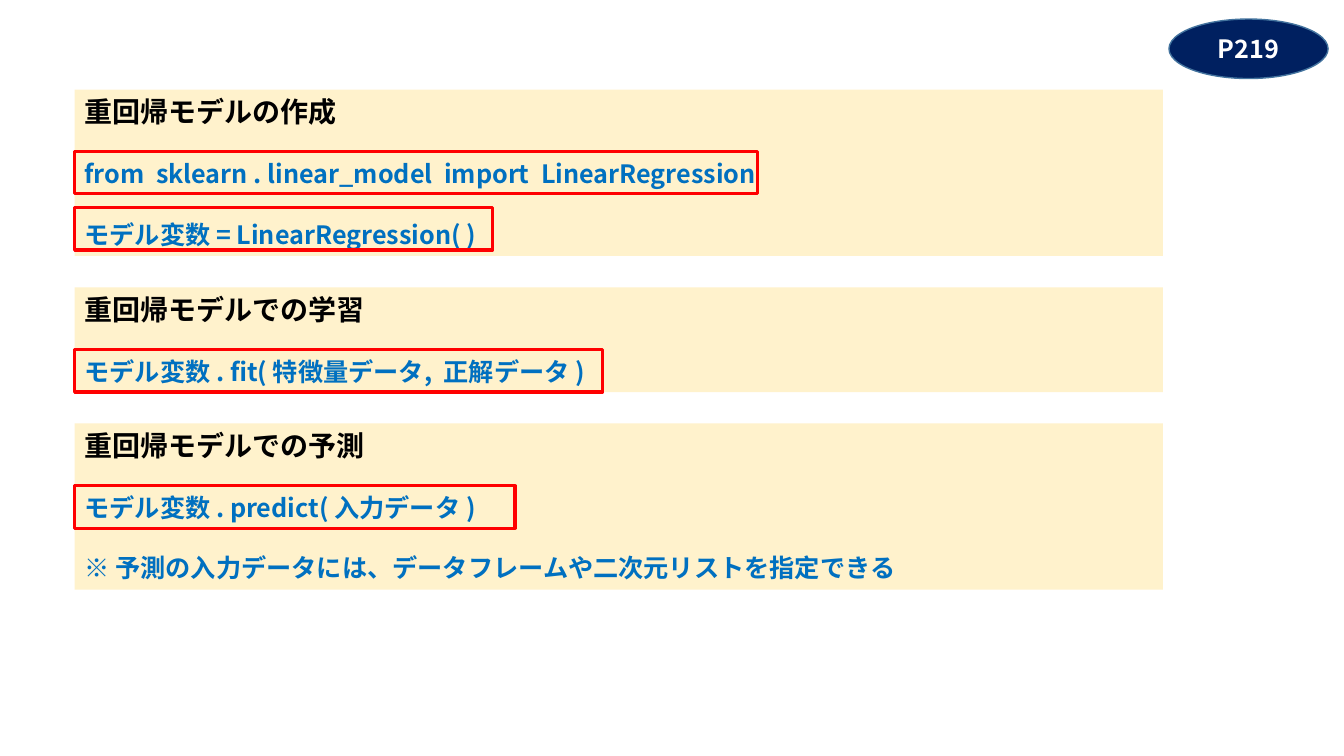
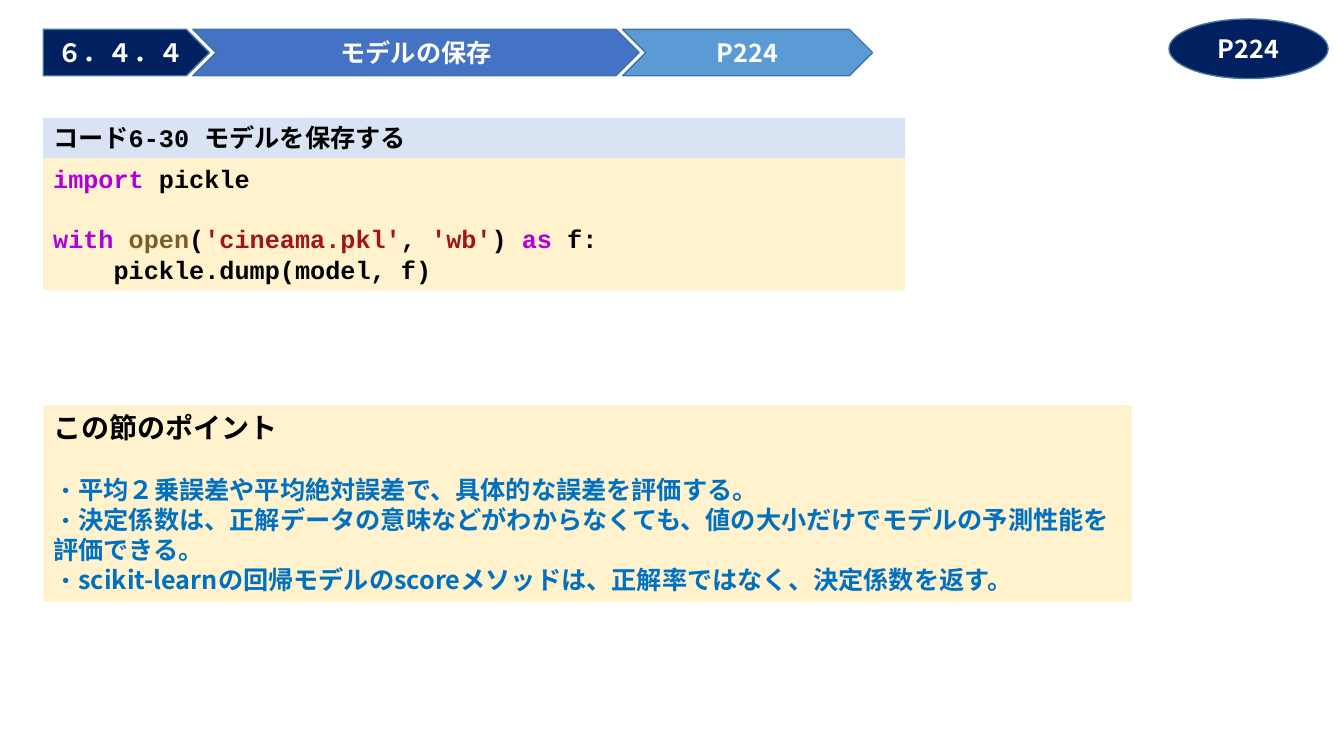
from lxml import etree
from pptx import Presentation
from pptx.dml.color import RGBColor
from pptx.enum.shapes import MSO_SHAPE
from pptx.enum.text import MSO_ANCHOR, MSO_AUTO_SIZE, PP_ALIGN
from pptx.oxml.ns import qn
from pptx.util import Cm, Pt

RECTANGLE = MSO_SHAPE.RECTANGLE
OVAL = MSO_SHAPE.OVAL
PENTAGON = MSO_SHAPE.PENTAGON
CHEVRON = MSO_SHAPE.CHEVRON
TOP, MIDDLE = MSO_ANCHOR.TOP, MSO_ANCHOR.MIDDLE
LEFT, CENTER = PP_ALIGN.LEFT, PP_ALIGN.CENTER
NO_AUTOFIT = MSO_AUTO_SIZE.NONE

BLACK = RGBColor(0x00, 0x00, 0x00)
WHITE = RGBColor(0xFF, 0xFF, 0xFF)
CREAM = RGBColor(0xFF, 0xF2, 0xCC)
PALE_BLUE = RGBColor(0xDA, 0xE3, 0xF3)
NAVY = RGBColor(0x00, 0x20, 0x60)
BLUE = RGBColor(0x44, 0x72, 0xC4)
SKY = RGBColor(0x5B, 0x9B, 0xD5)
EDGE = RGBColor(0x43, 0x73, 0x9E)
TEXT_BLUE = RGBColor(0x00, 0x70, 0xC0)
RED = RGBColor(0xFF, 0x00, 0x00)
KEYWORD = RGBColor(0xAF, 0x00, 0xDB)
FUNCTION = RGBColor(0x79, 0x5E, 0x26)
STRING = RGBColor(0xA3, 0x15, 0x15)

SANS = "Noto Sans CJK JP"
MONO = "Courier New"
HEADING_SIZE, TEXT_SIZE = 20, 18
LINE_FACTOR = 1.2
BLANK_LINE = Pt(TEXT_SIZE * LINE_FACTOR)
PANEL_WIDTH = 27.43

SECTIONS = [
    ("重回帰モデルの作成",
     ["from  sklearn . linear_model  import  LinearRegression",
      "モデル変数 = LinearRegression( )"],
     [(1.55, 17.22), (2.97, 10.54)]),
    ("重回帰モデルでの学習",
     ["モデル変数 . fit( 特徴量データ,  正解データ )"],
     [(1.57, 13.31)]),
    ("重回帰モデルでの予測",
     ["モデル変数 . predict( 入力データ )",
      "※ 予測の入力データには、データフレームや二次元リストを指定できる"],
     [(1.57, 11.1)]),
]
CODE = [
    [("import", KEYWORD), (" pickle", BLACK)],
    [("with ", KEYWORD), ("open", FUNCTION), ("(", BLACK),
     ("'cineama.pkl'", STRING), (", ", BLACK), ("'wb'", STRING),
     (") ", BLACK), ("as", KEYWORD), (" f:", BLACK)],
    [("    pickle.dump(model, f)", BLACK)],
]
POINTS = [
    "平均２乗誤差や平均絶対誤差で、具体的な誤差を評価する。",
    "決定係数は、正解データの意味などがわからなくても、値の大小だけでモデルの予測性能を評価できる。",
    "scikit-learnの回帰モデルのscoreメソッドは、正解率ではなく、決定係数を返す。",
]


def place(shape, left, top, width, height):
    shape.left, shape.top = Cm(left), Cm(top)
    shape.width, shape.height = Cm(width), Cm(height)


def add_box(slide, kind, box, fill=None, line=None, weight=1):
    shape = slide.shapes.add_shape(kind, *[Cm(length) for length in box])
    shape.shadow.inherit = False
    if fill is None:
        shape.fill.background()
    else:
        shape.fill.solid()
        shape.fill.fore_color.rgb = fill
    if line is None:
        shape.line.fill.background()
    else:
        shape.line.color.rgb = line
        shape.line.width = Pt(weight)
    return shape


def prepare_text(shape, anchor):
    frame = shape.text_frame
    frame.word_wrap = True
    frame.auto_size = NO_AUTOFIT
    frame.vertical_anchor = anchor
    return frame


def set_bullet(paragraph, character=None):
    properties = paragraph._p.get_or_add_pPr()
    properties.set("marL", "0")
    properties.set("indent", "0")
    if character is None:
        etree.SubElement(properties, qn("a:buNone"))
        return
    color = etree.SubElement(properties, qn("a:buClr"))
    etree.SubElement(color, qn("a:srgbClr"), val=str(TEXT_BLUE))
    etree.SubElement(properties, qn("a:buFont"), typeface=SANS)
    etree.SubElement(properties, qn("a:buChar"), char=character)


def write_line(paragraph, runs, size=TEXT_SIZE, font=SANS, align=LEFT, before=0):
    paragraph.alignment = align
    paragraph.line_spacing = Pt(size * LINE_FACTOR)
    paragraph.space_before = before
    for text, color in runs:
        run = paragraph.add_run()
        run.text = text
        run.font.size = Pt(size)
        run.font.bold = True
        run.font.color.rgb = color
        run.font.name = font
        etree.SubElement(run.font._element, qn("a:ea"), typeface=SANS)


def write_label(shape, text):
    frame = prepare_text(shape, MIDDLE)
    write_line(frame.paragraphs[0], [(text, WHITE)], align=CENTER)


def add_page_badge(slide, text):
    write_label(add_box(slide, OVAL, (29.46, 0.48, 4.01, 1.5), NAVY, EDGE), text)


def add_section(slide, box, heading, lines, highlights):
    left, top = box[:2]
    frame = prepare_text(add_box(slide, RECTANGLE, box, CREAM), TOP)
    write_line(frame.paragraphs[0], [(heading, BLACK)], HEADING_SIZE)
    for line in lines:
        write_line(frame.add_paragraph(), [(line, TEXT_BLUE)], before=BLANK_LINE)
    for offset, width in highlights:
        add_box(slide, RECTANGLE, (left, top + offset, width, 1.07), line=RED, weight=2.25)


def add_title_band(slide, left, top, number, title, page):
    height, overlap = 1.17, 0.42
    parts = [(PENTAGON, 4.19, NAVY, number), (CHEVRON, 11.25, BLUE, title),
             (CHEVRON, 6.3, SKY, page)]
    for kind, width, fill, text in parts:
        box = (left, top, width, height)
        label = add_box(slide, kind, box, fill, EDGE)
        if text == title:
            label = slide.shapes.title
            place(label, *box)
            slide.shapes._spTree.append(label._element)
        write_label(label, text)
        left += width - overlap


def add_code_listing(slide, left, top, width, caption, lines):
    caption_height = 1.02
    header = add_box(slide, RECTANGLE, (left, top, width, caption_height), PALE_BLUE)
    write_line(prepare_text(header, TOP).paragraphs[0], [(caption, BLACK)], font=MONO)
    body = add_box(slide, RECTANGLE, (left, top + caption_height, width, 3.33), CREAM)
    frame = prepare_text(body, TOP)
    for index, runs in enumerate(lines):
        paragraph = frame.add_paragraph() if index else frame.paragraphs[0]
        write_line(paragraph, runs, font=MONO, before=BLANK_LINE if index == 1 else 0)


def add_points(slide, box, heading, points):
    body = slide.placeholders[1]
    place(body, *box)
    body.fill.solid()
    body.fill.fore_color.rgb = CREAM
    frame = prepare_text(body, TOP)
    set_bullet(frame.paragraphs[0])
    write_line(frame.paragraphs[0], [(heading, BLACK)], HEADING_SIZE)
    for index, point in enumerate(points):
        paragraph = frame.add_paragraph()
        set_bullet(paragraph, "・")
        write_line(paragraph, [(point, TEXT_BLUE)], before=0 if index else BLANK_LINE)


def build_model_slide(presentation):
    slide = presentation.slides.add_slide(presentation.slide_layouts[6])
    top = 2.26
    for heading, lines, highlights in SECTIONS:
        height = 1.09 + 1.55 * len(lines)
        add_section(slide, (1.88, top, PANEL_WIDTH, height), heading, lines, highlights)
        top += height + 0.79
    add_page_badge(slide, "P219")


def build_saving_slide(presentation):
    slide = presentation.slides.add_slide(presentation.slide_layouts[1])
    left = 1.09
    add_title_band(slide, left, 0.74, "６．４．４", "モデルの保存", "P224")
    add_code_listing(slide, left, 2.97, 21.72, "コード6-30 モデルを保存する", CODE)
    add_points(slide, (left, 10.21, PANEL_WIDTH, 4.95), "この節のポイント", POINTS)
    add_page_badge(slide, "P224")


def main():
    presentation = Presentation()
    presentation.slide_width = Cm(33.87)
    presentation.slide_height = Cm(19.05)
    build_model_slide(presentation)
    build_saving_slide(presentation)
    presentation.save("out.pptx")


if __name__ == "__main__":
    main()
